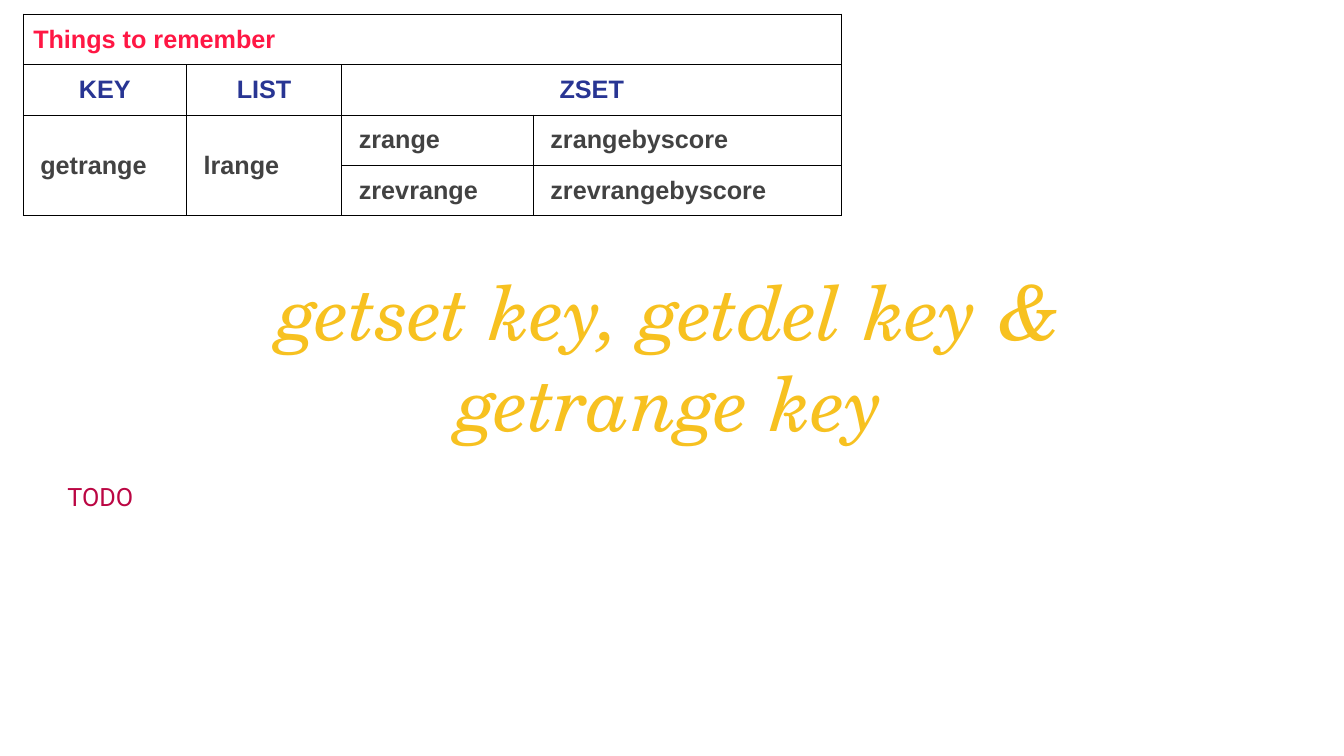
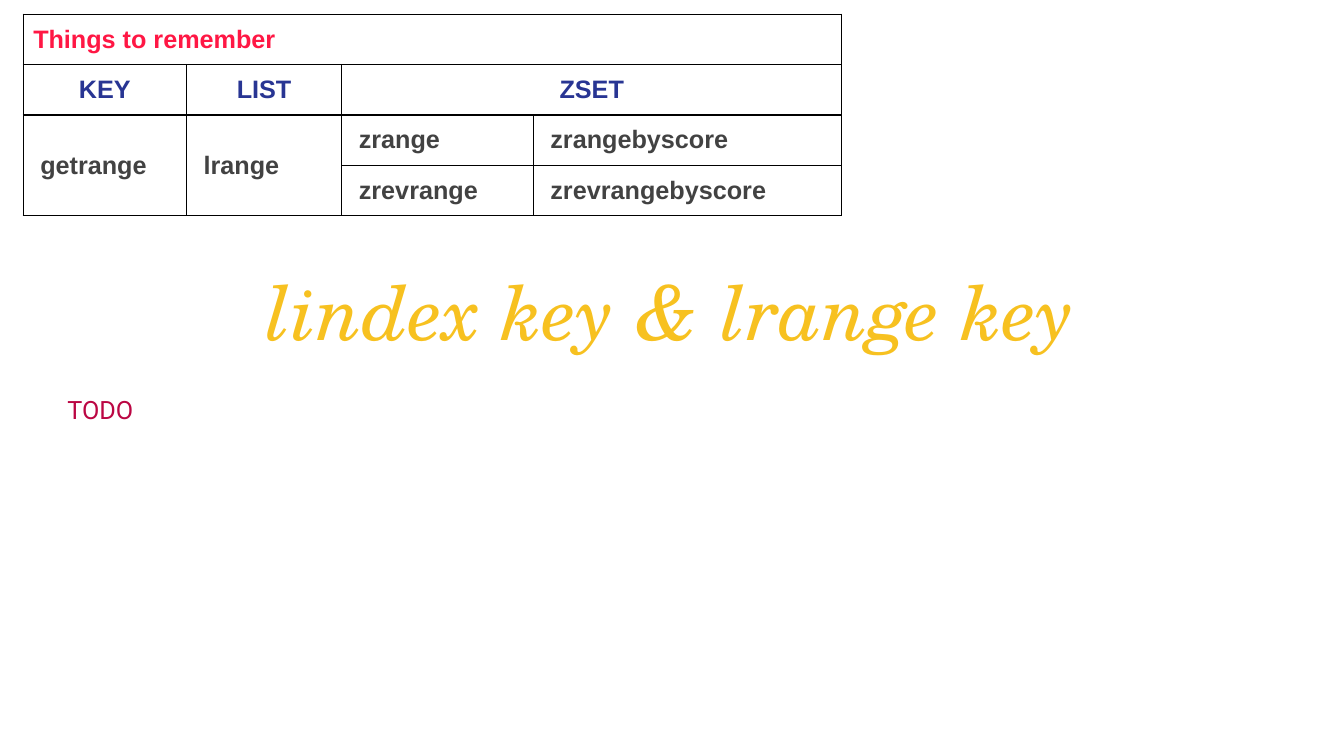
from pptx import Presentation
from pptx import util as u
from pptx.dml.color import RGBColor
from pptx.enum import text
from pptx.oxml import parse_xml
from pptx.oxml.ns import nsdecls

COLORS = {"title": "F7C120", "todo": "BB0643", "heading": "FF1744",
          "type": "283593", "command": "424242", "border": "000000"}
BODY_SIZE = 18
COL_WIDTHS = (1.62, 1.54, 1.9, 3.06)
ROW_HEIGHT = 0.5
ROW_COUNT = 4
COMMAND_INDENT = 0.17

# row, column, rows spanned, columns spanned, text, style
CELLS = (
    (0, 0, 1, 4, "Things to remember", "heading"),
    (1, 0, 1, 1, "KEY", "type"),
    (1, 1, 1, 1, "LIST", "type"),
    (1, 2, 1, 2, "ZSET", "type"),
    (2, 0, 2, 1, "getrange", "command"),
    (2, 1, 2, 1, "lrange", "command"),
    (2, 2, 1, 1, "zrange", "command"),
    (2, 3, 1, 1, "zrangebyscore", "command"),
    (3, 2, 1, 1, "zrevrange", "command"),
    (3, 3, 1, 1, "zrevrangebyscore", "command"),
)


def write(tf, words, color, font="Arial", size=BODY_SIZE, bold=False,
          italic=False, align=text.PP_ALIGN.LEFT):
    p = tf.paragraphs[0]
    p.alignment = align
    r = p.add_run()
    r.text = words
    f = r.font
    f.name, f.size, f.bold, f.italic = font, u.Pt(size), bold, italic
    f.color.rgb = RGBColor.from_string(COLORS[color])


def add_text(s, box, words, color, **fmt):
    sp = s.shapes.add_textbox(*(u.Inches(v) for v in box))
    tf = sp.text_frame
    tf.word_wrap = True
    tf.auto_size = text.MSO_AUTO_SIZE.SHAPE_TO_FIT_TEXT
    write(tf, words, color, **fmt)


def set_borders(cell, width):
    # Border lines come before the fill in the cell properties
    tc_pr = cell._tc.get_or_add_tcPr()
    for i, side in enumerate("LRTB"):
        tc_pr.insert(i, parse_xml(
            f'<a:ln{side} {nsdecls("a")} w="{u.Pt(width)}"><a:solidFill>'
            f'<a:srgbClr val="{COLORS["border"]}"/></a:solidFill></a:ln{side}>'))


def add_reminder_table(s, left, top, border):
    tbl = s.shapes.add_table(
        ROW_COUNT, len(COL_WIDTHS), u.Inches(left), u.Inches(top),
        u.Inches(sum(COL_WIDTHS)), u.Inches(ROW_HEIGHT * ROW_COUNT)).table
    tbl.first_row = tbl.horz_banding = False
    for col, width in zip(tbl.columns, COL_WIDTHS):
        col.width = u.Inches(width)
    for row in tbl.rows:
        row.height = u.Inches(ROW_HEIGHT)
    for cell in tbl.iter_cells():
        cell.fill.background()
        set_borders(cell, border)

    for row, col, row_span, col_span, words, style in CELLS:
        cell = tbl.cell(row, col)
        if row_span * col_span > 1:
            cell.merge(tbl.cell(row + row_span - 1, col + col_span - 1))
        cell.vertical_anchor = text.MSO_ANCHOR.MIDDLE
        if style == "command":
            cell.margin_left = u.Inches(COMMAND_INDENT)
        align = text.PP_ALIGN.CENTER if style == "type" else text.PP_ALIGN.LEFT
        write(cell.text_frame, words, style, bold=True, align=align)


def add_command_slide(prs, title, title_height, todo_top, border):
    s = prs.slides.add_slide(prs.slide_layouts[6])
    # Title
    add_text(s, (1.83, 2.58, 9.64, title_height), title, "title",
             font="TeX Gyre Schola", size=54, italic=True,
             align=text.PP_ALIGN.CENTER)
    # Body
    add_text(s, (0.57, todo_top, 12.09, 0.4), "TODO", "todo", font="Roboto",
             align=text.PP_ALIGN.JUSTIFY)
    # Reminder table
    add_reminder_table(s, 0.23, 0.14, border)


def main():
    prs = Presentation()
    prs.slide_width, prs.slide_height = u.Inches(13.33), u.Inches(7.5)
    add_command_slide(prs, "getset key, getdel key & getrange key",
                      title_height=1.92, todo_top=4.73, border=0.62)
    add_command_slide(prs, "lindex key & lrange key",
                      title_height=1, todo_top=3.86, border=1)
    prs.save("out.pptx")


if __name__ == "__main__":
    main()
